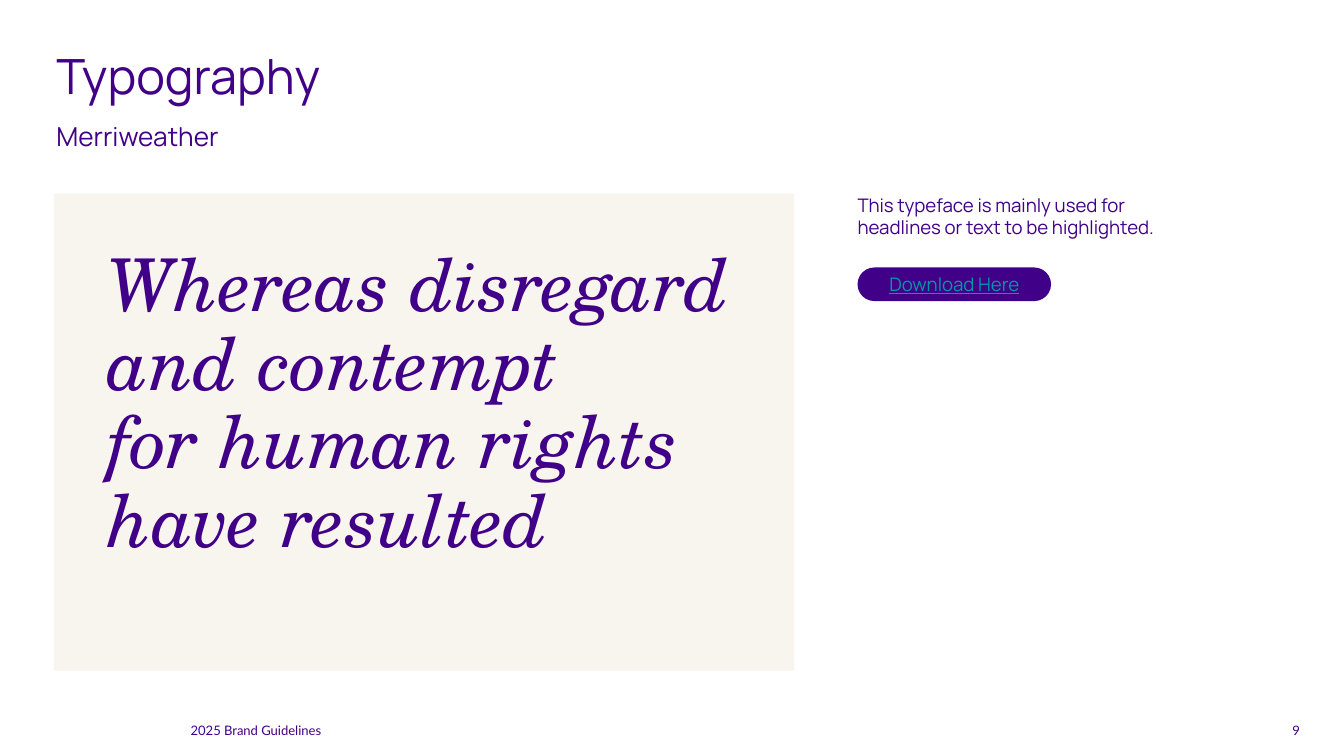
"""Build the typography slide of a brand guide."""
from dataclasses import dataclass

from pptx import Presentation
from pptx.dml.color import RGBColor
from pptx.enum.shapes import MSO_SHAPE
from pptx.enum.text import MSO_ANCHOR, PP_ALIGN
from pptx.util import Pt

RECT, PILL = MSO_SHAPE.RECTANGLE, MSO_SHAPE.ROUNDED_RECTANGLE
TOP, MIDDLE = MSO_ANCHOR.TOP, MSO_ANCHOR.MIDDLE
LEFT, CENTER, RIGHT = PP_ALIGN.LEFT, PP_ALIGN.CENTER, PP_ALIGN.RIGHT

PURPLE = RGBColor(0x41, 0x00, 0x88)
CREAM = RGBColor(0xF7, 0xF5, 0xED)
TEAL = RGBColor(0x00, 0x97, 0xA7)
SANS, SERIF, SMALL = "Manrope", "TeX Gyre Schola", "Lato"


@dataclass(frozen=True)
class Box:
    left: float
    top: float
    width: float
    height: float

    def emu(self) -> tuple:
        return Pt(self.left), Pt(self.top), Pt(self.width), Pt(self.height)


@dataclass(frozen=True)
class Label:
    text: str
    box: Box
    size: float
    font: str = SANS
    color: RGBColor = PURPLE
    anchor: MSO_ANCHOR = TOP
    align: PP_ALIGN = LEFT
    spacing: float = 1.0
    italic: bool = False
    underline: bool = False


LABELS = [
    Label("2025 Brand Guidelines", Box(102.2, 385.2, 220.3, 12.2), 7, SMALL, anchor=MIDDLE),
    Label("9", Box(675.4, 385.2, 20.9, 12.2), 7, SMALL, anchor=MIDDLE, align=RIGHT),
    Label("Whereas disregard and contempt \vfor human rights have resulted",
          Box(57.6, 103.7, 353.5, 227.5), 39, SERIF, anchor=MIDDLE, spacing=0.9, italic=True),
    Label("This typeface is mainly used for headlines or text to be highlighted.",
          Box(459.4, 103.7, 175, 33.1), 10),
    Label("Typography", Box(30.2, 24.5, 519.1, 33.1), 26),
    Label("Merriweather", Box(30.2, 61.9, 483.8, 24.5), 14, spacing=1.15),
]
PANEL = Box(28.8, 103.7, 396.7, 255.6)
BUTTON = Label("Download Here", Box(459.4, 143.3, 103.7, 18), 10, color=TEAL,
               anchor=MIDDLE, align=CENTER, underline=True)


def write(sp, label: Label) -> None:
    tf = sp.text_frame
    tf.word_wrap = True
    tf.vertical_anchor = label.anchor
    tf.margin_left = tf.margin_right = tf.margin_top = tf.margin_bottom = Pt(0)
    tf.text = label.text
    p = tf.paragraphs[0]
    p.alignment = label.align
    p.line_spacing = label.spacing
    for r in p.runs:
        r.font.name = label.font
        r.font.size = Pt(label.size)
        r.font.color.rgb = label.color
        r.font.italic = label.italic
        r.font.underline = label.underline


def add_block(s, kind: MSO_SHAPE, box: Box, color: RGBColor):
    sp = s.shapes.add_shape(kind, *box.emu())
    sp.shadow.inherit = False
    sp.fill.solid()
    sp.fill.fore_color.rgb = color
    sp.line.fill.background()
    return sp


def main() -> None:
    prs = Presentation()
    prs.slide_width, prs.slide_height = Pt(720), Pt(405)
    s = prs.slides.add_slide(prs.slide_layouts[6])
    add_block(s, RECT, PANEL, CREAM)
    for label in LABELS:
        write(s.shapes.add_textbox(*label.box.emu()), label)
    sp = add_block(s, PILL, BUTTON.box, PURPLE)
    sp.adjustments[0] = 0.5
    write(sp, BUTTON)
    prs.save("out.pptx")


if __name__ == "__main__":
    main()
